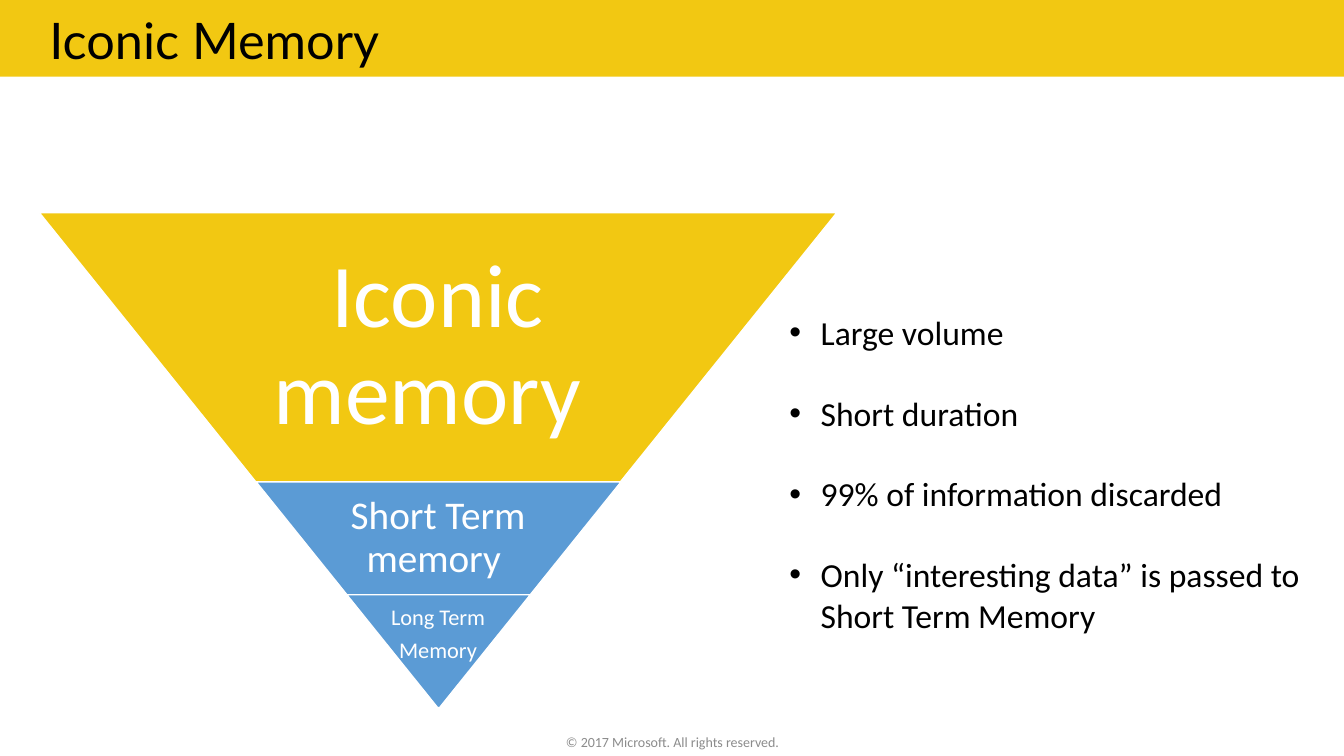
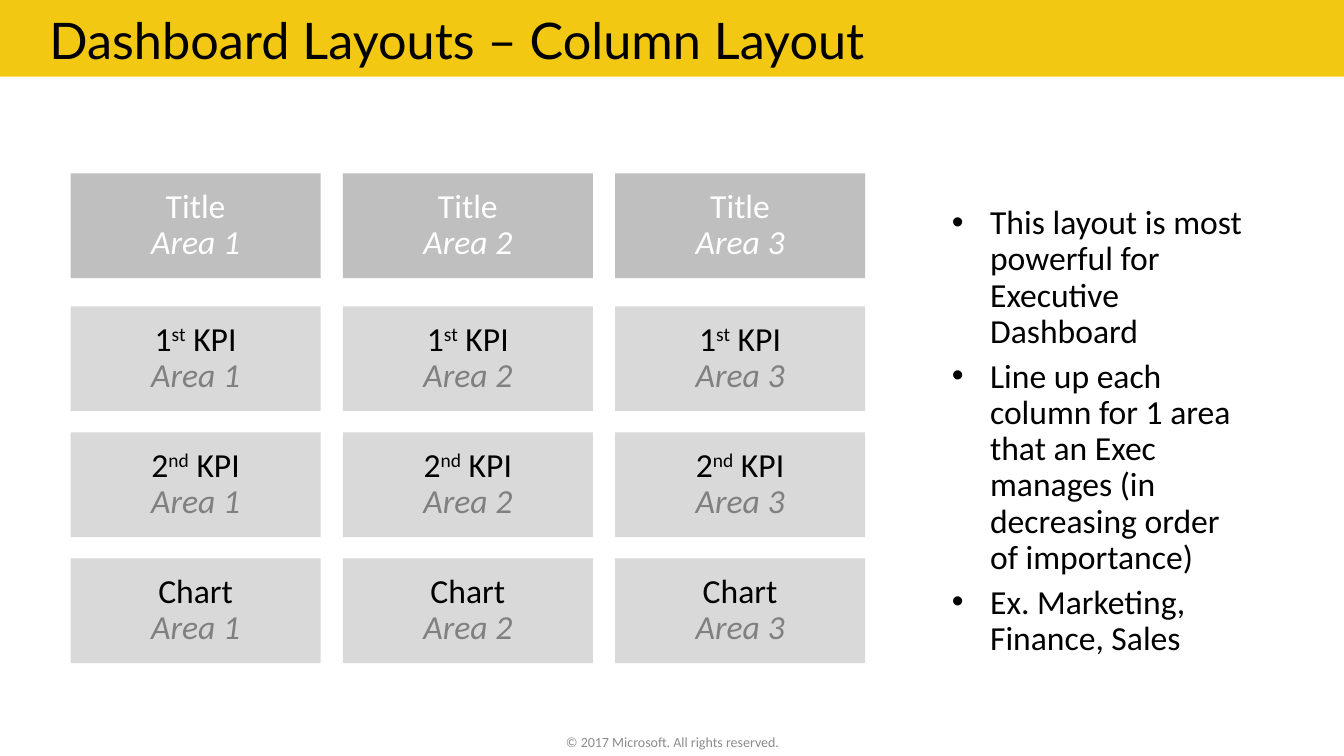
from dataclasses import dataclass
from typing import Optional

from pptx import Presentation
from pptx.dml.color import RGBColor
from pptx.enum.shapes import MSO_SHAPE as Shape
from pptx.enum.text import MSO_ANCHOR as Anchor, MSO_AUTO_SIZE as Fit, PP_ALIGN as Align
from pptx.util import Pt

PX = 9144
WIDE, HIGH = 1333, 750
SANS, HEAD = "Calibri", "Lato"
GOLD = RGBColor(0xF2, 0xC8, 0x12)
BLUE = RGBColor(0x5B, 0x9B, 0xD5)
BLACK = RGBColor(0, 0, 0)
WHITE = RGBColor(0xFF, 0xFF, 0xFF)
SILVER = RGBColor(0xBF, 0xBF, 0xBF)
PALE = RGBColor(0xD9, 0xD9, 0xD9)
GRAY = RGBColor(0x80, 0x80, 0x80)
ASH = RGBColor(0x8C, 0x8C, 0x8C)
TIP_X, TIP_Y, SLOPE = 434.5, 703, 0.804


@dataclass(frozen=True)
class Box:
    x: int
    y: int
    w: int
    h: int

    def emu(self) -> tuple:
        return tuple(n * PX for n in (self.x, self.y, self.w, self.h))


@dataclass(frozen=True)
class Layer:
    lines: tuple
    top: int
    tall: int
    fill: RGBColor
    size: int
    room: Box
    pad: int
    after: int = 0


@dataclass(frozen=True)
class Row:
    top: int
    words: tuple
    fill: RGBColor
    main: RGBColor
    sub: RGBColor


@dataclass(frozen=True)
class Points:
    lines: tuple
    box: Box
    hang: int
    pad: tuple = (10, 5)
    before: int = 0
    after: int = 0
    pitch: float = 1.0


LAYERS = (
    Layer(("Iconic memory ",), 211, 267, GOLD, 64, Box(177, 211, 514, 267), 9),
    Layer(("Short Term memory ",), 478, 112, BLUE, 28, Box(317, 478, 235, 112), 4),
    Layer(("Long Term", "Memory"), 590, 112, BLUE, 16, Box(344, 590, 181, 80), 2, 6),
)
KPIS = (("1", "st", " KPI"), ("2", "nd", " KPI"), ("Chart",))
ROWS = (Row(172, ("Title",), SILVER, WHITE, WHITE),) + tuple(
    Row(304 + 125 * i, words, PALE, BLACK, GRAY) for i, words in enumerate(KPIS)
)
TRAITS = Points(
    (
        "Large volume",
        "Short duration",
        "99% of information discarded",
        "Only “interesting data” is passed to Short Term Memory",
    ),
    Box(773, 304, 531, 333), hang=31, before=29,
)
ADVICE = Points(
    (
        "This layout is most powerful for Executive Dashboard",
        "Line up each column for 1 area that an Exec manages (in decreasing order of importance)",
        "Ex. Marketing, Finance, Sales",
    ),
    Box(924, 188, 329, 485), hang=38, pad=(20, 16), after=6, pitch=0.9,
)


def place(shape, box: Box) -> None:
    shape.left, shape.top, shape.width, shape.height = box.emu()


def frame(shape, pad: tuple = (10, 5), anchor=Anchor.TOP):
    text = shape.text_frame
    text.word_wrap = True
    text.auto_size = Fit.NONE
    text.vertical_anchor = anchor
    text.margin_left = text.margin_right = pad[0] * PX
    text.margin_top = text.margin_bottom = pad[1] * PX
    return text


def style(para, size: int, color: RGBColor, align=Align.LEFT,
          face: str = SANS, pitch: float = 1.0) -> None:
    para.alignment = align
    para.line_spacing = pitch
    para.font.size = Pt(size)
    para.font.name = face
    para.font.color.rgb = color


def block(slide, kind, box: Box, fill: RGBColor, line: Optional[RGBColor] = None):
    shape = slide.shapes.add_shape(kind, *box.emu())
    shape.shadow.inherit = False
    shape.fill.solid()
    shape.fill.fore_color.rgb = fill
    if line is None:
        shape.line.fill.background()
    else:
        shape.line.color.rgb = line
        shape.line.width = Pt(1)
    return shape


def page(deck, title: str, points: Points):
    slide = deck.slides.add_slide(deck.slide_layouts[1])
    band = block(slide, Shape.RECTANGLE, Box(0, 0, WIDE, 76), GOLD).element
    band.getparent().insert(2, band)
    head = slide.shapes.title
    place(head, Box(39, 4, 1214, 72))
    text = frame(head)
    text.text = title
    style(text.paragraphs[0], 36, BLACK, face=HEAD)
    bullets(slide.placeholders[1], points)
    foot = slide.shapes.add_textbox(*Box(442, 723, 450, 25).emu())
    text = frame(foot)
    text.text = "© 2017 Microsoft. All rights reserved."
    style(text.paragraphs[0], 10, ASH, Align.CENTER)
    return slide


def bullets(body, points: Points) -> None:
    place(body, points.box)
    text = frame(body, points.pad)
    text.text = "\n".join(points.lines)
    for i, para in enumerate(text.paragraphs):
        props = para._p.get_or_add_pPr()
        props.set("marL", str(points.hang * PX))
        props.set("indent", str(-points.hang * PX))
        style(para, 24, BLACK, pitch=points.pitch)
        para.space_before = Pt(points.before if i else 0)
        para.space_after = Pt(points.after)


def funnel(slide, layer: Layer) -> None:
    wide = round(2 * SLOPE * (TIP_Y - layer.top))
    box = Box(round(TIP_X - wide / 2), layer.top, wide, layer.tall)
    shape = block(slide, Shape.TRAPEZOID, box, layer.fill, WHITE)
    shape.adjustments[0] = SLOPE
    shape.rotation = 180
    label = slide.shapes.add_textbox(*layer.room.emu())
    text = frame(label, (layer.pad, layer.pad), Anchor.MIDDLE)
    text.text = "\n".join(layer.lines)
    for para in text.paragraphs:
        style(para, layer.size, WHITE, Align.CENTER, pitch=0.9)
        para.space_after = Pt(layer.after)


def card(slide, row: Row, col: int) -> None:
    box = Box(70 + 270 * col, row.top, 248, 104)
    text = frame(block(slide, Shape.RECTANGLE, box, row.fill), (20, 16))
    name = text.paragraphs[0]
    for i, word in enumerate(row.words):
        run = name.add_run()
        run.text = word
        if i == 1:
            run._r.get_or_add_rPr().set("baseline", "30000")
    style(name, 24, row.main, Align.CENTER, pitch=0.9)
    area = text.add_paragraph()
    area.text = f"Area {col + 1}"
    style(area, 24, row.sub, Align.CENTER, pitch=0.9)
    area.font.italic = True


def main() -> None:
    deck = Presentation()
    deck.slide_width, deck.slide_height = WIDE * PX, HIGH * PX
    slide = page(deck, "Iconic Memory", TRAITS)
    for layer in LAYERS:
        funnel(slide, layer)
    slide = page(deck, "Dashboard Layouts – Column Layout", ADVICE)
    for col in range(3):
        for row in ROWS:
            card(slide, row, col)
    deck.save("out.pptx")


if __name__ == "__main__":
    main()
